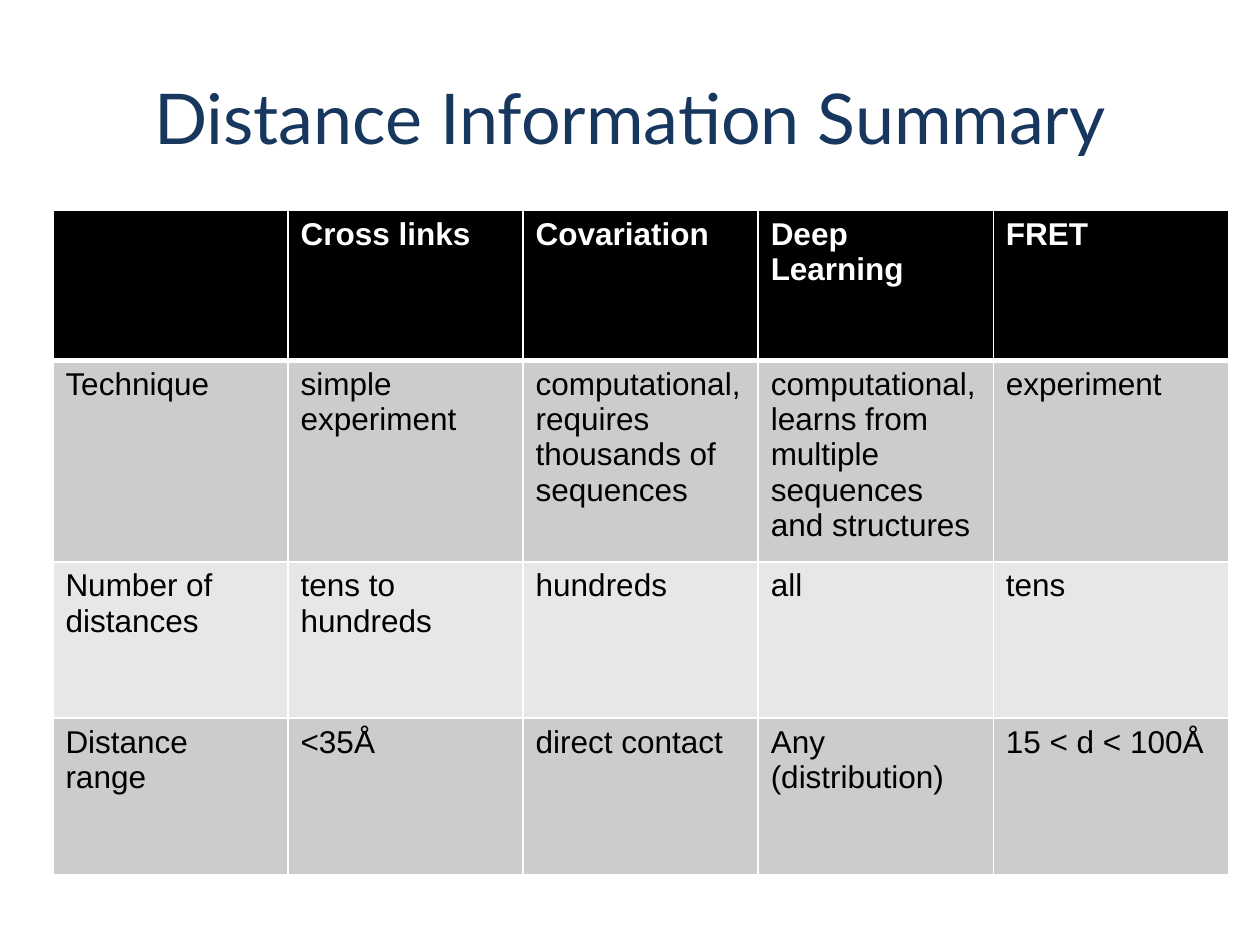
from pptx import Presentation
from pptx.dml.color import RGBColor
from pptx.enum.text import MSO_ANCHOR, PP_ALIGN
from pptx.oxml.ns import qn
from pptx.util import Inches, Pt
from lxml import etree

CENTER = PP_ALIGN.CENTER
MIDDLE = MSO_ANCHOR.MIDDLE
BLANK_LAYOUT = 6

NAVY, BLACK, WHITE = "17375E", "000000", "FFFFFF"
BAND_FILLS = ("CCCCCC", "E7E7E7")
ROW_HEIGHTS = (1.19, 1.32, 1.24, 1.24)
THIN, THICK = 1, 3

SUMMARY = (
    ("", "Cross links", "Covariation", "Deep Learning", "FRET"),
    ("Technique", "simple experiment",
     "computational, requires thousands of sequences",
     "computational, learns from multiple sequences and structures",
     "experiment"),
    ("Number of distances", "tens to hundreds", "hundreds", "all", "tens"),
    ("Distance range", "<35Å", "direct contact", "Any (distribution)",
     "15 < d < 100Å"),
)


def color(value):
    return RGBColor.from_string(value)


def set_font(paragraph, name, size, value, bold=False):
    for run in paragraph.runs:
        run.font.name = name
        run.font.size = Pt(size)
        run.font.bold = bold
        run.font.color.rgb = color(value)


def add_title(slide, box, text):
    shape = slide.shapes.add_textbox(*map(Inches, box))
    frame = shape.text_frame
    frame.word_wrap = True
    frame.vertical_anchor = MIDDLE
    frame.text = text
    paragraph = frame.paragraphs[0]
    paragraph.alignment = CENTER
    set_font(paragraph, "Lato", 40, NAVY)


def add_borders(cell, top, bottom):
    """Draw white cell borders; must run before the cell is filled."""
    properties = cell._tc.get_or_add_tcPr()
    widths = {"L": THIN, "R": THIN, "T": top, "B": bottom}
    for side, width in widths.items():
        line = etree.SubElement(properties, qn(f"a:ln{side}"), w=str(Pt(width)))
        fill = etree.SubElement(line, qn("a:solidFill"))
        etree.SubElement(fill, qn("a:srgbClr"), val=WHITE)


def format_cell(cell, text, row_index):
    is_header = row_index == 0
    add_borders(cell,
                top=THICK if row_index == 1 else THIN,
                bottom=THICK if is_header else THIN)
    cell.fill.solid()
    cell.fill.fore_color.rgb = color(
        BLACK if is_header else BAND_FILLS[(row_index - 1) % 2])
    cell.text = text
    set_font(cell.text_frame.paragraphs[0], "Arial", 18,
             WHITE if is_header else BLACK, bold=is_header)


def add_summary_table(slide, box, rows):
    table = slide.shapes.add_table(
        len(rows), len(rows[0]), *map(Inches, box)).table
    for row_index, (texts, height) in enumerate(zip(rows, ROW_HEIGHTS)):
        table.rows[row_index].height = Inches(height)
        for column_index, text in enumerate(texts):
            format_cell(table.cell(row_index, column_index), text, row_index)


def main():
    presentation = Presentation()
    presentation.slide_width = Inches(10)
    presentation.slide_height = Inches(7.5)
    slide = presentation.slides.add_slide(
        presentation.slide_layouts[BLANK_LAYOUT])
    add_title(slide, (0.5, 0.3, 9, 1.25), "Distance Information Summary")
    add_summary_table(slide, (0.42, 1.67, 9.33, 5.27), SUMMARY)
    presentation.save("out.pptx")


if __name__ == "__main__":
    main()
